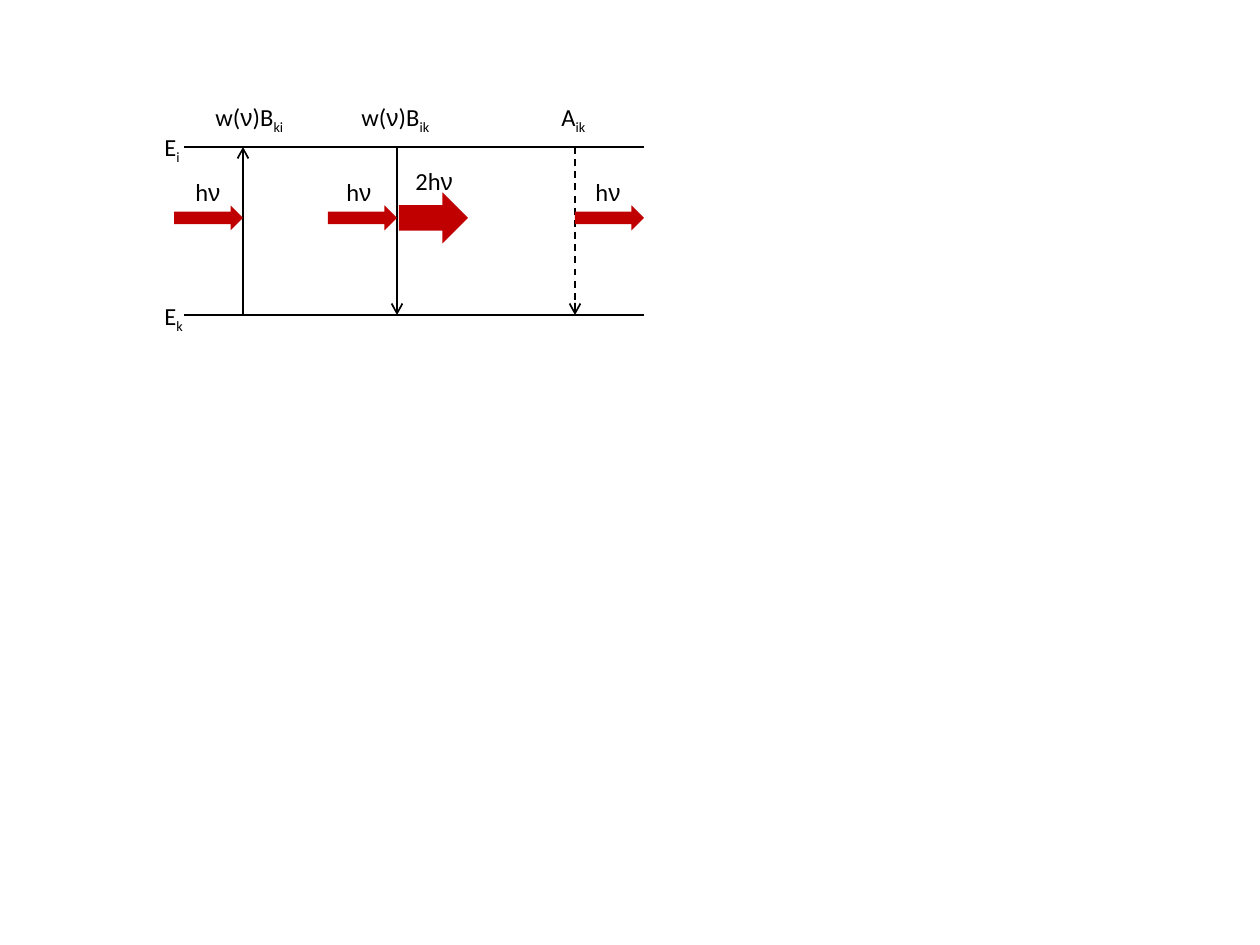
from dataclasses import dataclass
from itertools import groupby

from pptx import Presentation
from pptx import util as u
from pptx.dml.color import RGBColor
from pptx.enum import dml, shapes, text
from pptx.oxml import parse_xml
from pptx.oxml.ns import nsdecls
from pptx.slide import Slide

BLACK = RGBColor(0x00, 0x00, 0x00)
RED = RGBColor(0xC0, 0x00, 0x00)

PX_PER_INCH = 126
UPPER, LOWER = 147, 315
LEVEL_LEFT, LEVEL_RIGHT = 184, 644
ABSORPTION, STIMULATED, SPONTANEOUS = 243, 397, 575
PHOTON_MIDDLE, PHOTON_WIDTH = 218, 69
RATE_TOP, PHOTON_LABEL_TOP = 96, 171


def px(length):
    return u.Emu(round(length * u.Inches(1) / PX_PER_INCH))


def assign(target, values):
    for name, value in values.items():
        setattr(target, name, value)


@dataclass
class Diagram:
    page: Slide
    latin: str = "Calibri"
    greek: str = "Arial"
    size: int = 14
    label_height: int = 43

    def line(self, start, end, width, arrow=False, dash=None):
        connector = self.page.shapes.add_connector(
            shapes.MSO_CONNECTOR.STRAIGHT, *map(px, (*start, *end)))
        connector.line.color.rgb = BLACK
        assign(connector.line, {"width": u.Pt(width), "dash_style": dash})
        if arrow:
            connector.line._get_or_add_ln().append(
                parse_xml(f'<a:tailEnd {nsdecls("a")} type="arrow"/>'))
        connector._element.spPr.append(
            parse_xml(f'<a:effectLst {nsdecls("a")}/>'))

    def photon(self, left, height):
        """Red block arrow centred on the photon row."""
        top = PHOTON_MIDDLE - height / 2
        arrow = self.page.shapes.add_shape(
            shapes.MSO_SHAPE.RIGHT_ARROW,
            *map(px, (left, top, PHOTON_WIDTH, height)))
        arrow.shadow.inherit = False
        arrow.fill.solid()
        arrow.fill.fore_color.rgb = RED
        arrow.line.fill.background()

    def label(self, left, top, width, symbol, index=""):
        """Symbol with an optional subscript; the Greek letter has its own font."""
        box = self.page.shapes.add_textbox(
            *map(px, (left, top, width, self.label_height)))
        assign(box.text_frame, {
            "word_wrap": False,
            "auto_size": text.MSO_AUTO_SIZE.SHAPE_TO_FIT_TEXT,
        })
        para = box.text_frame.paragraphs[0]
        for is_greek, letters in groupby(symbol, lambda letter: letter == "ν"):
            self.span(para, "".join(letters), self.greek if is_greek else self.latin)
        if index:
            span = self.span(para, index, self.latin)
            span.font._element.set("baseline", "-25000")

    def span(self, para, words, font):
        span = para.add_run()
        span.text = words
        assign(span.font, {"name": font, "size": u.Pt(self.size)})
        span.font.color.rgb = BLACK
        return span


def main():
    deck = Presentation()
    assign(deck, {"slide_width": u.Inches(10), "slide_height": u.Inches(7.5)})
    diagram = Diagram(deck.slides.add_slide(deck.slide_layouts[6]))

    for level in (UPPER, LOWER):
        diagram.line((LEVEL_LEFT, level), (LEVEL_RIGHT, level), 1.5)

    for x, start, end, dash in (
        (ABSORPTION, LOWER, UPPER, None),
        (STIMULATED, UPPER, LOWER, None),
        (SPONTANEOUS, UPPER, LOWER, dml.MSO_LINE.DASH),
    ):
        diagram.line((x, start), (x, end), 1, arrow=True, dash=dash)

    for left in (ABSORPTION - PHOTON_WIDTH, STIMULATED - PHOTON_WIDTH, SPONTANEOUS):
        diagram.photon(left, 25)
    diagram.photon(STIMULATED + 2, 51)

    for left in (183, 334, 583):
        diagram.label(left, PHOTON_LABEL_TOP, 52, "hν")
    diagram.label(403, 160, 64, "2hν")

    diagram.label(152, UPPER - 21, 42, "E", "i")
    diagram.label(152, LOWER - 20, 45, "E", "k")
    diagram.label(203, RATE_TOP, 96, "w(ν)B", "ki")
    diagram.label(349, RATE_TOP, 96, "w(ν)B", "ik")
    diagram.label(549, RATE_TOP, 52, "A", "ik")

    deck.save("out.pptx")


if __name__ == "__main__":
    main()
